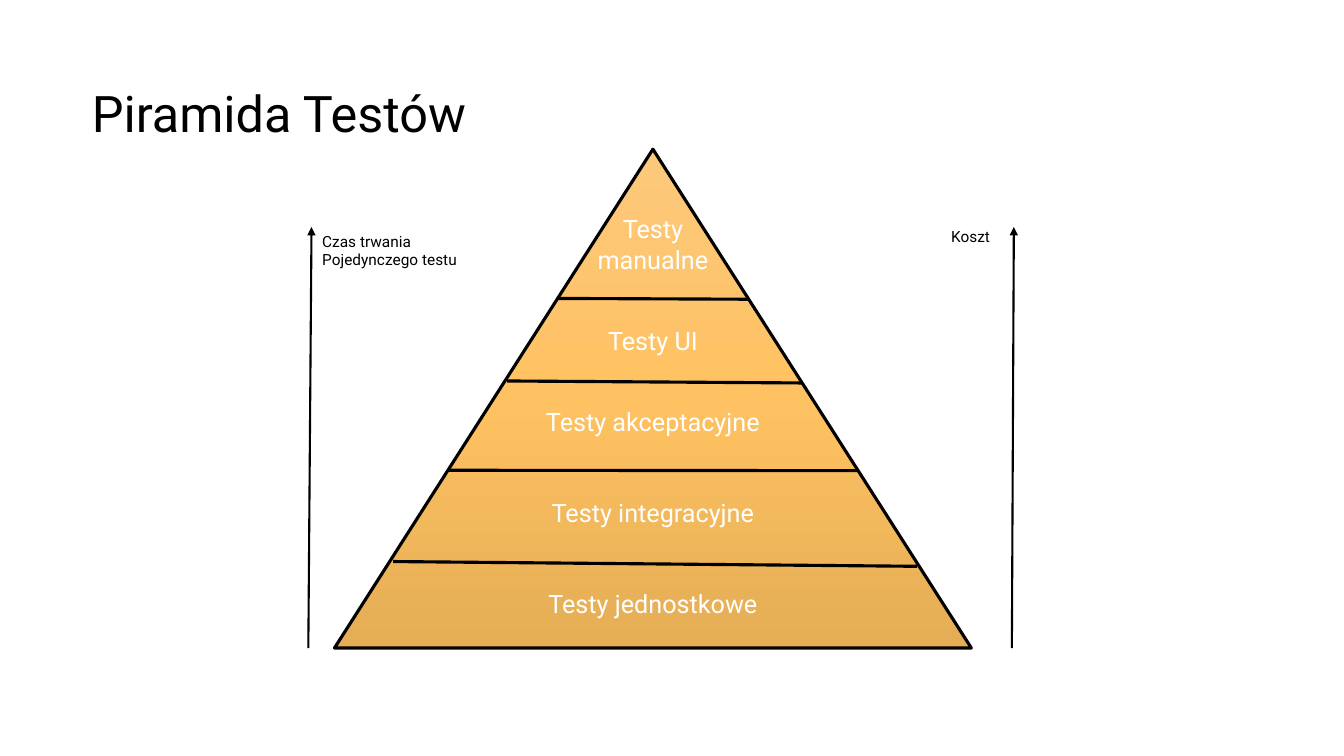
from lxml.etree import SubElement
from pptx import Presentation
from pptx.dml.color import RGBColor
from pptx.enum.shapes import MSO_CONNECTOR, MSO_SHAPE
from pptx.enum.text import MSO_ANCHOR, MSO_AUTO_SIZE, PP_ALIGN
from pptx.oxml.ns import qn
from pptx.util import Cm, Pt

COLORS = {"ink": "000000", "label": "FFFFFF", "top": "FCC87C", "middle": "FFC262", "base": "E5AD55"}
FONT = "Roboto"
TITLE = "Piramida Testów"
TITLE_BOX = (2.06, 2.11, 29.79, 1.63)
PYRAMID_BOX = (8.43, 3.76, 16.05, 12.57)
GRADIENT = [(0, "top"), (50, "middle"), (100, "base")]
LABEL_WIDTH = 6.43
LEVELS = [
    (["Testy", "manualne"], 5.26, 1.8),
    (["Testy UI"], 8.08, 1.02),
    (["Testy akceptacyjne"], 10.11, 1.02),
    (["Testy integracyjne"], 12.4, 1.02),
    (["Testy jednostkowe"], 14.71, 1.02),
]
DIVIDERS = [
    (14.05, 7.52, 18.87, 7.54),
    (12.78, 9.6, 20.22, 9.65),
    (11.3, 11.85, 21.62, 11.86),
    (9.91, 14.15, 23.11, 14.27),
]
AXES = [(7.77, 16.33, 7.85, 5.72), (25.5, 16.33, 25.55, 5.72)]
NOTES = [
    (["Czas trwania", "Pojedynczego testu"], (7.87, 5.72, 3.94, 1.19)),
    (["Koszt"], (23.72, 5.59, 1.5, 0.74)),
]


def lengths(values):
    return [Cm(value) for value in values]


def write(frame, lines, size, color, **paragraph_format):
    for index, line in enumerate(lines):
        para = frame.paragraphs[0] if index == 0 else frame.add_paragraph()
        for name, value in paragraph_format.items():
            setattr(para, name, value)
        span = para.add_run()
        span.text = line
        for name, value in {"name": FONT, "size": Pt(size)}.items():
            setattr(span.font, name, value)
        span.font.color.rgb = RGBColor.from_string(COLORS[color])


def add_text(page, position, lines, size, color, wrap, alignment):
    frame = page.shapes.add_textbox(*lengths(position)).text_frame
    frame.word_wrap = wrap
    frame.auto_size = MSO_AUTO_SIZE.SHAPE_TO_FIT_TEXT
    write(frame, lines, size, color, alignment=alignment)


def style_line(line, width):
    line.color.rgb = RGBColor.from_string(COLORS["ink"])
    line.width = Pt(width)


def add_line(page, ends, width, arrow=False):
    connector = page.shapes.add_connector(MSO_CONNECTOR.STRAIGHT, *lengths(ends))
    style_line(connector.line, width)
    properties = connector._element.spPr
    if arrow:
        SubElement(properties.find(qn("a:ln")), qn("a:tailEnd"), type="triangle")
    SubElement(properties, qn("a:effectLst"))


def add_title(page):
    title = page.shapes.title
    title.left, title.top, title.width, title.height = lengths(TITLE_BOX)
    frame = title.text_frame
    frame.word_wrap = True
    frame.auto_size = MSO_AUTO_SIZE.NONE
    frame.vertical_anchor = MSO_ANCHOR.MIDDLE
    write(frame, [TITLE], 36, "ink", alignment=PP_ALIGN.LEFT, line_spacing=0.9, space_before=Pt(10))


def add_pyramid(page):
    pyramid = page.shapes.add_shape(MSO_SHAPE.ISOSCELES_TRIANGLE, *lengths(PYRAMID_BOX))
    pyramid.shadow.inherit = False
    style_line(pyramid.line, 2.25)
    pyramid.fill.gradient()
    pyramid.fill.gradient_angle = 270
    stops = pyramid._element.spPr.find(qn("a:gradFill")).find(qn("a:gsLst"))
    for stop in list(stops):
        stops.remove(stop)
    for percent, color in GRADIENT:
        stop = SubElement(stops, qn("a:gs"), pos=str(percent * 1000))
        SubElement(stop, qn("a:srgbClr"), val=COLORS[color])


def main():
    deck = Presentation()
    deck.slide_width, deck.slide_height = lengths((33.87, 19.05))
    page = deck.slides.add_slide(deck.slide_layouts[5])
    add_title(page)
    add_pyramid(page)
    label_left = PYRAMID_BOX[0] + (PYRAMID_BOX[2] - LABEL_WIDTH) / 2
    for lines, top, height in LEVELS:
        add_text(page, (label_left, top, LABEL_WIDTH, height), lines, 18, "label", True, PP_ALIGN.CENTER)
    for ends in DIVIDERS:
        add_line(page, ends, 2.25)
    for ends in AXES:
        add_line(page, ends, 1.5, arrow=True)
    for lines, position in NOTES:
        add_text(page, position, lines, 11, "ink", False, PP_ALIGN.LEFT)
    deck.save("out.pptx")


if __name__ == "__main__":
    main()
